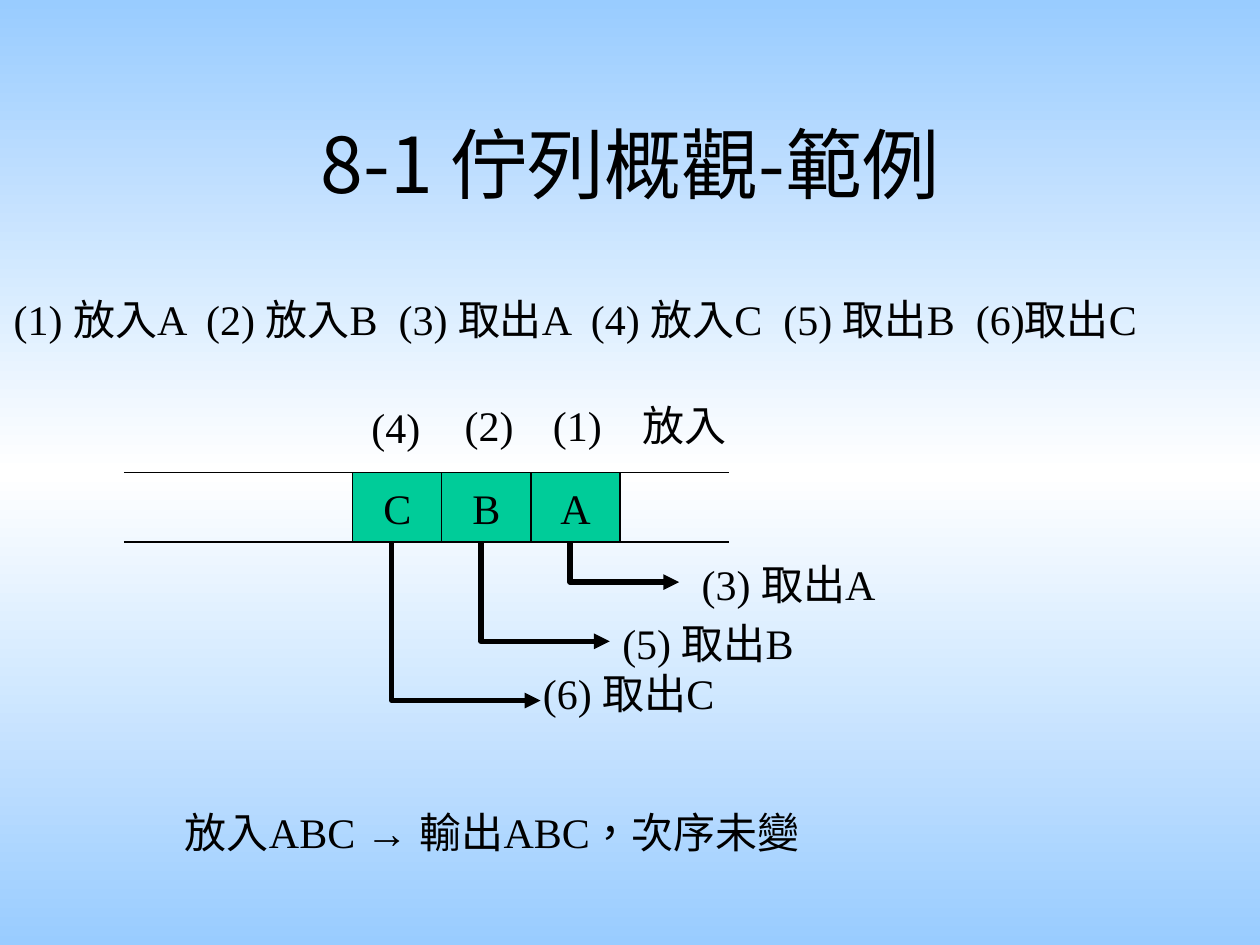
from copy import deepcopy

from lxml import etree
from pptx import Presentation
from pptx.dml.color import RGBColor
from pptx.enum.shapes import MSO_CONNECTOR, MSO_SHAPE
from pptx.enum.text import MSO_ANCHOR, MSO_AUTO_SIZE, PP_ALIGN
from pptx.oxml.ns import qn
from pptx.util import Emu, Inches, Pt

STRAIGHT = MSO_CONNECTOR.STRAIGHT
RECTANGLE = MSO_SHAPE.RECTANGLE
CENTER, LEFT = PP_ALIGN.CENTER, PP_ALIGN.LEFT
MIDDLE = MSO_ANCHOR.MIDDLE
GROW = MSO_AUTO_SIZE.SHAPE_TO_FIT_TEXT
SERIF, SANS, ARROW_FONT = "Times New Roman", "Noto Sans CJK SC", "Arial"
COLORS = {"ink": "000000", "cell": "00CC99", "sky": "99CCFF", "white": "FFFFFF"}
INK = RGBColor.from_string(COLORS["ink"])

presentation = Presentation()
presentation.slide_width, presentation.slide_height = Inches(10), Inches(7.5)
slide = presentation.slides.add_slide(presentation.slide_layouts[5])
shapes = slide.shapes

# The slide is a grid of 100 columns by 100 rows.
COLUMN, ROW = presentation.slide_width / 100, presentation.slide_height / 100


def grid(*values):
    """Turn alternating column and row values into lengths."""
    return [Emu(round(value * (ROW if index % 2 else COLUMN)))
            for index, value in enumerate(values)]


def write(shape, *parts, size=24, alignment=LEFT):
    """Fill a shape with one paragraph of (text, font name) runs."""
    paragraph = shape.text_frame.paragraphs[0]
    paragraph.alignment = alignment
    for text, font_name in parts:
        run = paragraph.add_run()
        run.text = text
        run.font.name, run.font.size = font_name, Pt(size)
        run.font.color.rgb = INK
        run.font._element.set("lang", "zh-TW")
        east_asian = etree.SubElement(run.font._element, qn("a:ea"))
        east_asian.set("typeface", SANS)


# Background: sky to white and back
background = slide.background.fill
background.gradient()
background.gradient_angle = 270
for stop, name in zip(background.gradient_stops, ("sky", "white")):
    stop.color.rgb = RGBColor.from_string(COLORS[name])
stop_list = slide._element.find(".//" + qn("a:gsLst"))
stop_list.append(deepcopy(stop_list[0]))
for stop, position in zip(background.gradient_stops, (0, 0.5, 1)):
    stop.position = position

title = shapes.title
title.left, title.top, title.width, title.height = grid(7.5, 8.93, 85, 16.67)
title.text_frame.vertical_anchor = MIDDLE
write(title, ("8-1 佇列概觀-範例", SANS), size=44, alignment=CENTER)

# Queue: two rails with three cells between them
QUEUE_TOP, QUEUE_HEIGHT = 50, 7.36
QUEUE_BOTTOM = QUEUE_TOP + QUEUE_HEIGHT
CELL_LEFT, CELL_WIDTH = 28, 7.07
for rail in (QUEUE_TOP, QUEUE_BOTTOM):
    line = shapes.add_connector(STRAIGHT, *grid(9.84, rail, 57.87, rail))
    line.line.color.rgb = INK
    line.line.width = Pt(0.75)
    etree.SubElement(line._element.spPr, qn("a:effectLst"))

# Each cell has an elbow arrow: bend row and tip column
elbows = {"C": (74.13, 42.9), "B": (67.87, 48.4), "A": (61.6, 53.9)}
for index, (letter, (bend, tip)) in enumerate(elbows.items()):
    left = CELL_LEFT + index * CELL_WIDTH
    cell = shapes.add_shape(RECTANGLE, *grid(left, QUEUE_TOP, CELL_WIDTH, QUEUE_HEIGHT))
    cell.fill.solid()
    cell.fill.fore_color.rgb = RGBColor.from_string(COLORS["cell"])
    cell.text_frame.word_wrap = False
    cell.text_frame.vertical_anchor = MIDDLE
    write(cell, (letter, SERIF), alignment=CENTER)

    stem = left + 3.1
    builder = shapes.build_freeform(*grid(stem, QUEUE_BOTTOM))
    builder.add_line_segments([grid(stem, bend), grid(tip, bend)], close=False)
    elbow = builder.convert_to_shape()
    elbow.fill.background()
    for shape, width in ((cell, 0.75), (elbow, 3)):
        shape.shadow.inherit = False
        shape.line.color.rgb = INK
        shape.line.width = Pt(width)
    outline = elbow._element.spPr.find(qn("a:ln"))
    etree.SubElement(outline, qn("a:tailEnd")).set("type", "triangle")

# Captions: left column, top row, width in columns, runs
steps = "(1) 放入A  (2) 放入B  (3) 取出A  (4) 放入C  (5) 取出B  (6)取出C"
captions = [
    (0.1, 30.4, 102, [(steps, SERIF)]),
    (28.5, 41.87, 6, [("(4)", SERIF)]),
    (35.9, 41.6, 6, [("(2)", SERIF)]),
    (42.9, 41.6, 6, [("(1)", SERIF)]),
    (50, 41.6, 9, [("放入", SERIF)]),
    (54.7, 58.4, 17.5, [("(3) 取出A", SERIF)]),
    (48.4, 64.67, 17.5, [("(5) 取出B", SERIF)]),
    (42.1, 70, 17.5, [("(6) 取出C", SERIF)]),
    (13.7, 84.67, 55, [("放入ABC ", SERIF), ("→ ", ARROW_FONT),
                       ("輸出ABC，次序未變", SERIF)]),
]
for left, top, width, parts in captions:
    caption = shapes.add_textbox(*grid(left, top, width, 6.67))
    caption.text_frame.word_wrap = False
    caption.text_frame.auto_size = GROW
    write(caption, *parts)

presentation.save("out.pptx")
